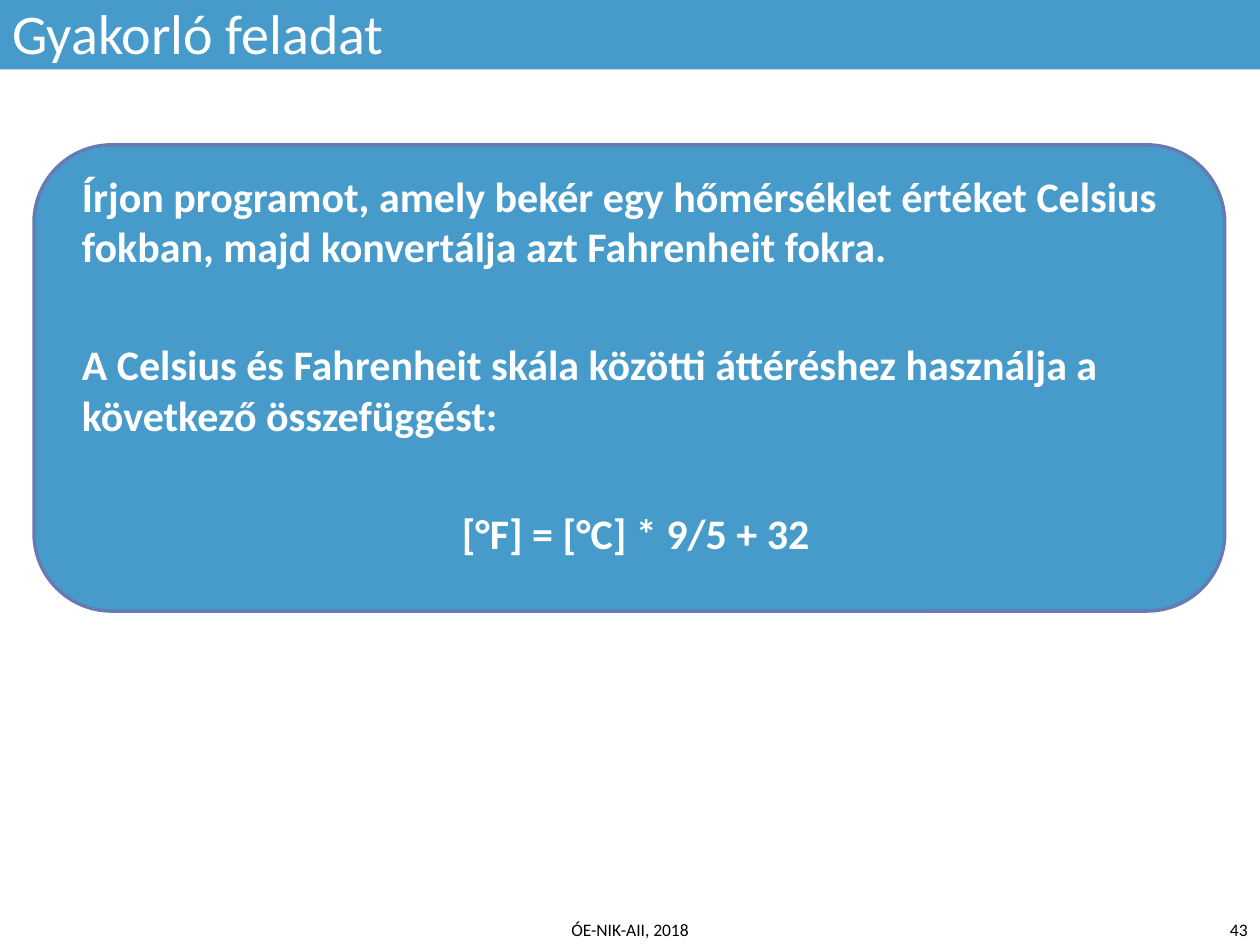
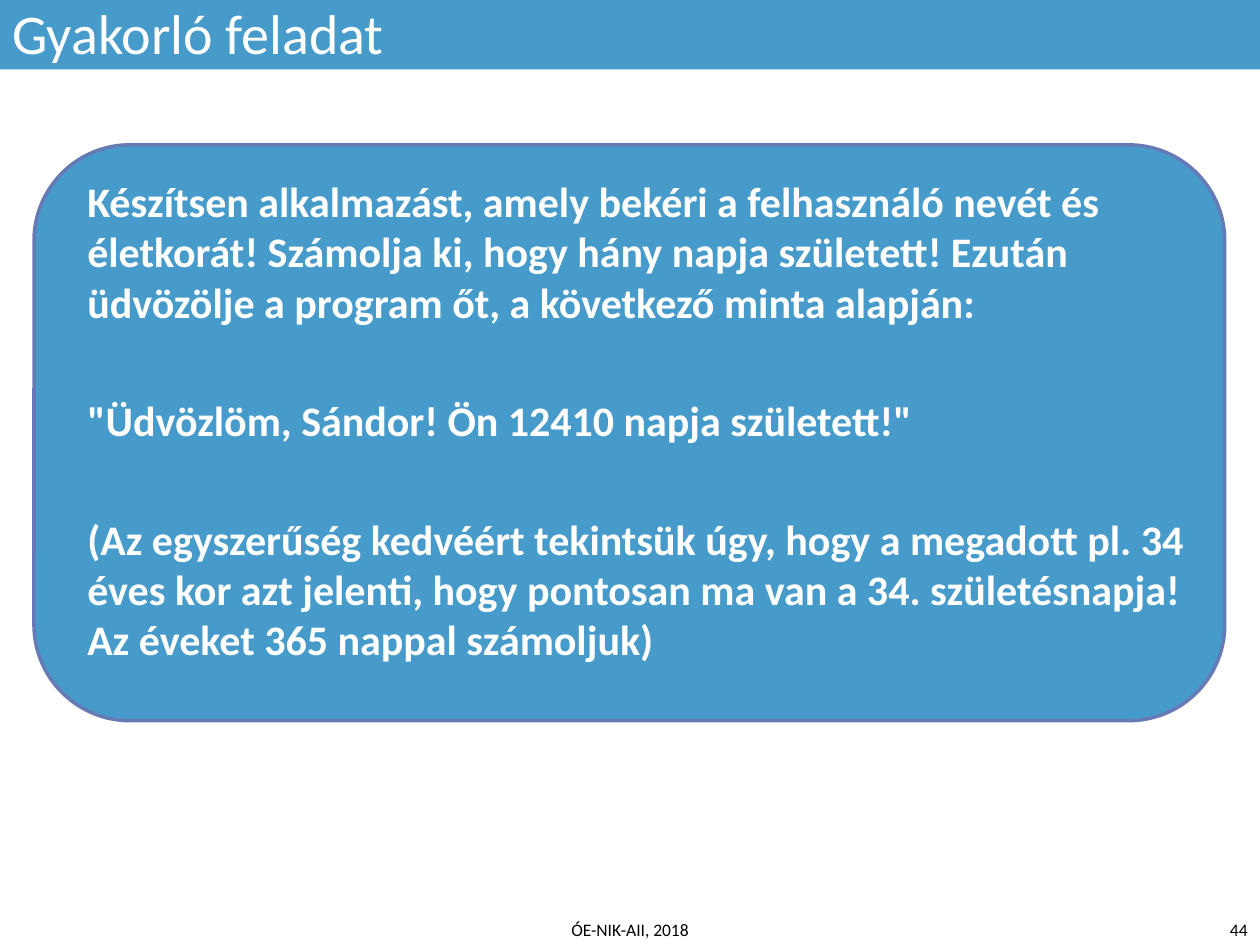
"""Build two practice exercise slides that share a title band, a card and a footer."""
from pptx import Presentation
from pptx.dml.color import RGBColor
from pptx.enum.shapes import MSO_SHAPE as Shape
from pptx.enum.text import MSO_ANCHOR as Anchor, PP_ALIGN as Align
from pptx.util import Pt

WIDTH, HEIGHT = 720, 540
BLUE, EDGE, WHITE, BLACK = "479BCA", "667BB5", "FFFFFF", "000000"
FONT = "Calibri"
TITLE = "Gyakorló feladat"
FOOTER = "ÓE-NIK-AII, 2018"
FIRST_NUMBER = 43
BAND_HEIGHT = 39.6
CARD_LEFT, CARD_TOP, CARD_WIDTH = 19.44, 82.8, 680.4
FOOTER_HEIGHT = 17.28
FOOTER_LEFT, NUMBER_LEFT = 162, 558
PARAGRAPH_GAP = 38.9

EXERCISES = [
    {
        "card_height": 266.4,
        "task": [
            ("Írjon programot, amely bekér egy hőmérséklet értéket Celsius fokban, "
             "majd konvertálja azt Fahrenheit fokra.", Align.LEFT),
            ("A Celsius és Fahrenheit skála közötti áttéréshez használja a "
             "következő összefüggést:", Align.LEFT),
            ("[°F] = [°C] * 9/5 + 32", Align.CENTER),
        ],
    },
    {
        "card_height": 329.04,
        "task": [
            ("Készítsen alkalmazást, amely bekéri a felhasználó nevét és életkorát! "
             "Számolja ki, hogy hány napja született! Ezután üdvözölje a program őt, "
             "a következő minta alapján:", Align.LEFT),
            ('"Üdvözlöm, Sándor! Ön 12410 napja született!"', Align.LEFT),
            ("(Az egyszerűség kedvéért tekintsük úgy, hogy a megadott pl. 34 éves kor "
             "azt jelenti, hogy pontosan ma van a 34. születésnapja! Az éveket 365 "
             "nappal számoljuk)", Align.LEFT),
        ],
    },
]


def color(code):
    return RGBColor.from_string(code)


def write(shape, paragraphs, size, ink=WHITE, bold=False, anchor=Anchor.TOP,
          insets=(7.2, 3.6, 7.2, 3.6), gap=0, spacing=1.0):
    frame = shape.text_frame
    frame.word_wrap = True
    frame.vertical_anchor = anchor
    (frame.margin_left, frame.margin_top,
     frame.margin_right, frame.margin_bottom) = map(Pt, insets)
    for index, (text, align) in enumerate(paragraphs):
        paragraph = frame.add_paragraph() if index else frame.paragraphs[0]
        paragraph.alignment = align
        paragraph.line_spacing = spacing
        paragraph.space_before = Pt(gap if index else 0)
        run = paragraph.add_run()
        run.text = text
        run.font.name, run.font.size, run.font.bold = FONT, Pt(size), bold
        run.font.color.rgb = color(ink)


def add_panel(slide, kind, box, edge=None):
    panel = slide.shapes.add_shape(kind, *map(Pt, box))
    panel.shadow.inherit = False
    panel.fill.solid()
    panel.fill.fore_color.rgb = color(BLUE)
    if edge:
        panel.line.color.rgb = color(edge)
        panel.line.width = Pt(2)
    else:
        panel.line.fill.background()
    return panel


def add_footer(slide, text, left, width, align):
    footer = slide.shapes.add_textbox(
        *map(Pt, (left, HEIGHT - FOOTER_HEIGHT, width, FOOTER_HEIGHT)))
    write(footer, [(text, align)], size=10, ink=BLACK, anchor=Anchor.MIDDLE)


def add_exercise(deck, number, exercise):
    slide = deck.slides.add_slide(deck.slide_layouts[6])
    card = add_panel(slide, Shape.ROUNDED_RECTANGLE,
                     (CARD_LEFT, CARD_TOP, CARD_WIDTH, exercise["card_height"]), EDGE)
    write(card, exercise["task"], size=24, bold=True,
          insets=(14.4, 1.44, 7.2, 1.44), gap=PARAGRAPH_GAP)
    add_footer(slide, FOOTER, FOOTER_LEFT, NUMBER_LEFT - FOOTER_LEFT, Align.CENTER)
    add_footer(slide, str(number), NUMBER_LEFT, WIDTH - NUMBER_LEFT, Align.RIGHT)
    band = add_panel(slide, Shape.RECTANGLE, (0, 0, WIDTH, BAND_HEIGHT))
    write(band, [(TITLE, Align.LEFT)], size=32, spacing=0.9)


def main():
    deck = Presentation()
    deck.slide_width, deck.slide_height = Pt(WIDTH), Pt(HEIGHT)
    for number, exercise in enumerate(EXERCISES, FIRST_NUMBER):
        add_exercise(deck, number, exercise)
    deck.save("out.pptx")


if __name__ == "__main__":
    main()
